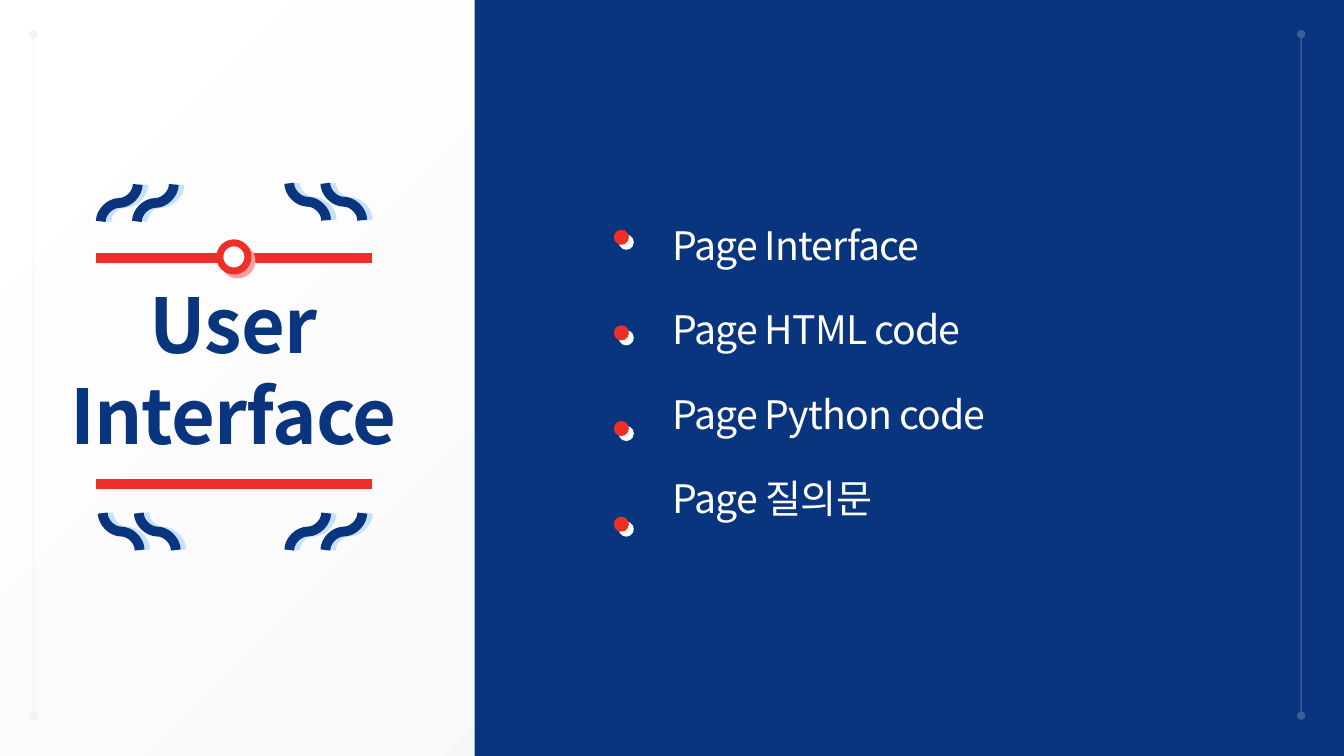
"""Build the User Interface section slide."""
from lxml import etree
from pptx import Presentation
from pptx.dml.color import RGBColor
from pptx.enum.shapes import MSO_CONNECTOR, MSO_SHAPE
from pptx.enum.text import MSO_ANCHOR, MSO_AUTO_SIZE, PP_ALIGN
from pptx.oxml.ns import qn
from pptx.util import Cm, Pt

STRAIGHT, CURVE = MSO_CONNECTOR.STRAIGHT, MSO_CONNECTOR.CURVE
RECTANGLE, OVAL = MSO_SHAPE.RECTANGLE, MSO_SHAPE.OVAL
MIDDLE, NO_FIT = MSO_ANCHOR.MIDDLE, MSO_AUTO_SIZE.NONE
CENTER, LEFT = PP_ALIGN.CENTER, PP_ALIGN.LEFT

NAVY = RGBColor(0x09, 0x34, 0x7E)
RED = RGBColor(0xEE, 0x2F, 0x27)
PINK = RGBColor(0xFC, 0xA0, 0xA1)
SKY = RGBColor(0xC6, 0xE1, 0xFE)
PALE = RGBColor(0xF2, 0xF2, 0xF2)
WHITE = RGBColor(0xFF, 0xFF, 0xFF)

FONT = "Noto Sans CJK KR"
TITLE_FONT = {"name": FONT, "size": Pt(54), "bold": True}
TOPIC_FONT = {"name": FONT, "size": Pt(28), "bold": False}
FRAME_FORMAT = {
    "word_wrap": True, "auto_size": NO_FIT, "vertical_anchor": MIDDLE,
    "margin_left": 0, "margin_right": 0, "margin_top": 0, "margin_bottom": 0,
}
TOPICS = ["Page Interface", "Page HTML code", "Page Python code", "Page 질의문"]
WAVE_SIZE, WAVE_STEP = 0.93, 0.91
WAVE_PAIRS = [(2.54, 4.65, False), (7.29, 4.62, True),
              (2.59, 12.93, True), (7.29, 12.93, False)]
DOT_TOP, DOT_STEP = 5.79, 2.41


def add_child(parent, tag, **values):
    """Append a drawing element with the given attributes."""
    return etree.SubElement(parent, qn(tag), **values)


def set_shadow(item, color=None, distance=0, angle=0):
    """Give an item a hard offset shadow, or none without a colour."""
    effects = add_child(item.element.spPr, "a:effectLst")
    if color is not None:
        shadow = add_child(effects, "a:outerShdw", blurRad="0", dist=str(Pt(distance)),
                           dir=str(angle * 60000), algn="tl", rotWithShape="0")
        add_child(shadow, "a:srgbClr", val=str(color))


def paint_background(page):
    """Fill the page with a pale glow from the lower right corner."""
    fill = page.background.fill
    fill.gradient()
    for stop, color, position in zip(fill.gradient_stops, (PALE, WHITE), (0, 1)):
        stop.color.rgb = color
        stop.position = position
    gradient = page.element.find(".//" + qn("a:gradFill"))
    gradient.remove(gradient.find(qn("a:lin")))
    circle = add_child(gradient, "a:path", path="circle")
    add_child(circle, "a:fillToRect", l="100000", t="100000")


def add_solid(page, kind, left, top, width, height, color, border=None):
    """Add a filled shape, with a 5 pt border if a colour is given."""
    shape = page.shapes.add_shape(kind, Cm(left), Cm(top), Cm(width), Cm(height))
    shape.fill.solid()
    shape.fill.fore_color.rgb = color
    if border is None:
        shape.line.fill.background()
    else:
        shape.line.color.rgb = border
        shape.line.width = Pt(5)
    return shape


def add_line(page, kind, start, end, color, weight):
    """Add a connector between two points."""
    line = page.shapes.add_connector(kind, *(Cm(value) for value in start + end))
    line.line.color.rgb = color
    line.line.width = Pt(weight)
    return line


def add_rail(page, x, opacity=100):
    """Add a thin vertical line with a round dot at each end."""
    rail = add_line(page, STRAIGHT, (x, 0.86), (x, 18.03), PALE, 1)
    outline = rail.line._get_or_add_ln()
    if opacity < 100:
        add_child(outline.find(".//" + qn("a:srgbClr")), "a:alpha", val=str(opacity * 1000))
    for tag in ("a:headEnd", "a:tailEnd"):
        add_child(outline, tag, type="oval")
    set_shadow(rail)


def add_wave(page, left, top, falls_right):
    """Add one S-shaped stroke that runs down to the right or left."""
    right, bottom = left + WAVE_SIZE, top + WAVE_SIZE
    start, end = (right, left) if falls_right else (left, right)
    wave = add_line(page, CURVE, (start, top), (end, bottom), NAVY, 7)
    turn = 270 if falls_right else 90
    wave.element.spPr.find(qn("a:xfrm")).set("rot", str(turn * 60000))
    set_shadow(wave, SKY, 4)


def fill_text(box, lines, font, color, align, gap=0):
    """Write one formatted paragraph per line."""
    frame = box.text_frame
    frame.text = "\n".join(lines)
    for name, value in FRAME_FORMAT.items():
        setattr(frame, name, value)
    for index, para in enumerate(frame.paragraphs):
        para.alignment = align
        para.line_spacing = 1.0
        para.space_before = Pt(gap if index else 0)
        for span in para.runs:
            for name, value in font.items():
                setattr(span.font, name, value)
            span.font.color.rgb = color
            properties = span.font._element
            properties.set("spc", "-60")
            add_child(properties, "a:ea", typeface=FONT)


def add_title(page):
    """Place and format the title placeholder."""
    title = page.shapes.title
    title.left, title.top, title.width, title.height = Cm(1.68), Cm(8.5), Cm(8.41), Cm(1.57)
    fill_text(title, ["User", "Interface"], TITLE_FONT, NAVY, CENTER)


def add_topics(page):
    """Add the list of topics and a dot beside each."""
    box = page.shapes.add_textbox(Cm(16.94), Cm(4.57), Cm(12.04), Cm(9.58))
    fill_text(box, TOPICS, TOPIC_FONT, WHITE, LEFT, gap=26.6)
    for index in range(len(TOPICS)):
        dot = add_solid(page, OVAL, 15.47, DOT_TOP + index * DOT_STEP, 0.38, 0.38, RED)
        set_shadow(dot, WHITE, 5, 45)


def add_emblem(page):
    """Add the red bars, the ring and the wave pairs around the title."""
    for y in (12.19, 6.5):
        set_shadow(add_line(page, STRAIGHT, (2.41, y), (9.37, y), RED, 7))
    ring = add_solid(page, OVAL, 5.54, 6.12, 0.71, 0.71, WHITE, border=RED)
    set_shadow(ring, PINK, 4, 45)
    for left, top, falls_right in WAVE_PAIRS:
        for step in range(2):
            add_wave(page, left + step * WAVE_STEP, top, falls_right)


def main():
    """Build and save the deck."""
    deck = Presentation()
    deck.slide_width, deck.slide_height = Cm(33.87), Cm(19.05)
    page = deck.slides.add_slide(deck.slide_layouts[5])
    paint_background(page)
    set_shadow(add_solid(page, RECTANGLE, 11.96, 0, 21.91, 19.05, NAVY))
    add_emblem(page)
    add_rail(page, 0.84)
    add_rail(page, 32.79, opacity=22)
    add_title(page)
    add_topics(page)
    deck.save("out.pptx")


if __name__ == "__main__":
    main()
